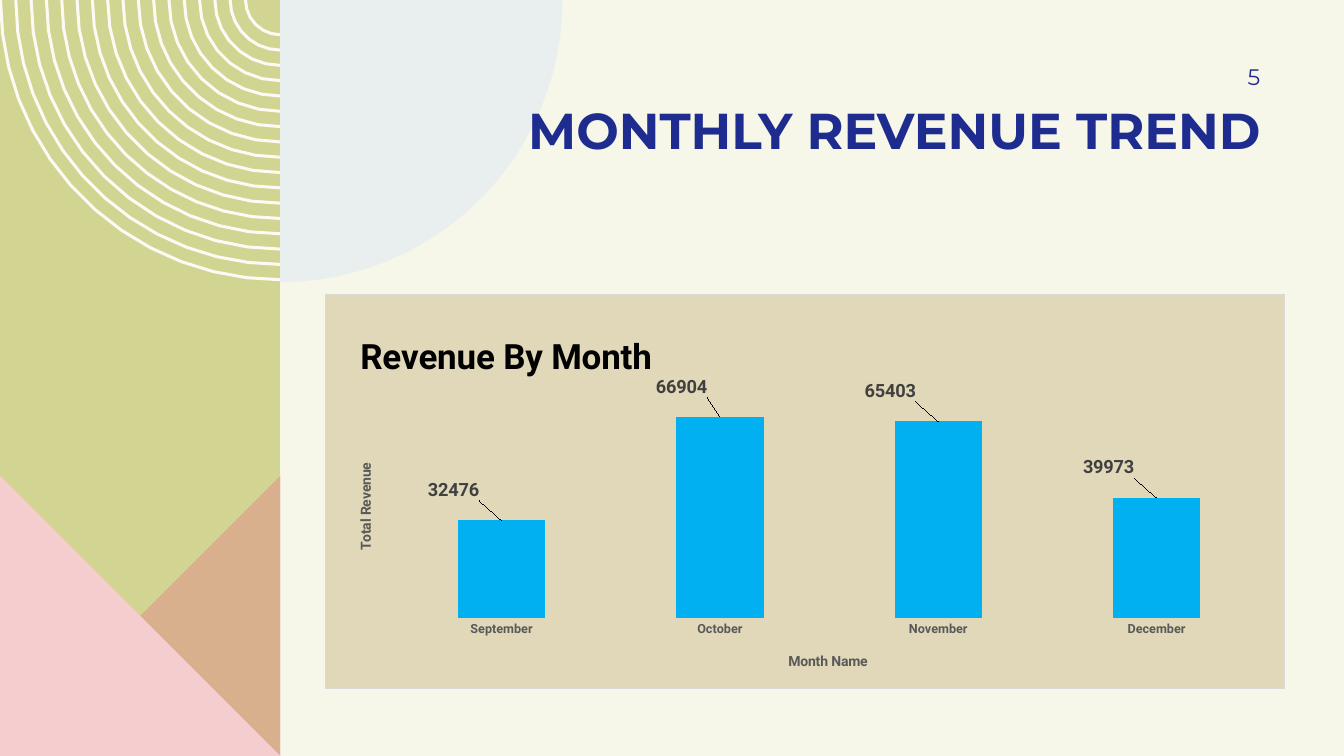
import math
from dataclasses import dataclass

import pptx
import pptx.chart.data
import pptx.dml.color
import pptx.enum.chart
import pptx.enum.text
import pptx.oxml
import pptx.oxml.ns
import pptx.util
from pptx.util import Inches

Point = tuple[float, float]
PANEL_EDGE = 2.78
NAVY = "1F2C8F"
GRAY = "595959"
GRID = "D9D9D9"


@dataclass
class Region:
    contours: list[list[Point]]
    color: str
    opacity: int = 100


@dataclass
class Label:
    text: str
    left: float
    top: float
    width: float
    height: float
    size: int
    bold: bool
    align: pptx.enum.text.PP_ALIGN
    anchor: pptx.enum.text.MSO_ANCHOR
    right_inset: float


@dataclass
class Month:
    name: str
    revenue: int
    label_shift: Point


def rgb(color: str) -> pptx.dml.color.RGBColor:
    return pptx.dml.color.RGBColor.from_string(color)


def arc(radius: float, start: int, end: int, steps: int) -> list[Point]:
    angles = [math.radians(start + (end - start) * i / steps) for i in range(steps + 1)]
    return [(PANEL_EDGE + radius * math.cos(a), radius * math.sin(a)) for a in angles]


def ring(radius: float) -> list[Point]:
    steps = 5 + round(3 * radius)
    return arc(radius, 90, 180, steps) + arc(radius - 0.03, 180, 90, steps)


def draw_region(slide, region: Region) -> None:
    contours = [[(Inches(x), Inches(y)) for x, y in c] for c in region.contours]
    builder = slide.shapes.build_freeform(*contours[0][0])
    builder.add_line_segments(contours[0][1:])
    for contour in contours[1:]:
        builder.move_to(*contour[0])
        builder.add_line_segments(contour[1:])
    shape = builder.convert_to_shape()
    shape.shadow.inherit = False
    shape.line.fill.background()
    shape.fill.solid()
    shape.fill.fore_color.rgb = rgb(region.color)
    if region.opacity < 100:
        color = shape._element.spPr.find(".//" + pptx.oxml.ns.qn("a:srgbClr"))
        alpha = color.makeelement(pptx.oxml.ns.qn("a:alpha"), {"val": str(region.opacity * 1000)})
        color.append(alpha)


def set_font(font, size: int, color: str, bold: bool, name: str = "Roboto") -> None:
    font.name = name
    font.size = pptx.util.Pt(size)
    font.bold = bold
    font.color.rgb = rgb(color)


def draw_label(slide, label: Label) -> None:
    box = slide.shapes.add_textbox(
        Inches(label.left), Inches(label.top), Inches(label.width), Inches(label.height))
    frame = box.text_frame
    frame.word_wrap = True
    frame.vertical_anchor = label.anchor
    frame.margin_top = frame.margin_bottom = 0
    frame.margin_right = Inches(label.right_inset)
    paragraph = frame.paragraphs[0]
    paragraph.text = label.text
    paragraph.alignment = label.align
    set_font(paragraph.font, label.size, NAVY, label.bold, "Montserrat")


def layout(x: float, y: float, size: Point | None = None, edge: bool = True):
    parts = [("xMode", "edge"), ("yMode", "edge")] if edge else []
    if size:
        parts.insert(0, ("layoutTarget", "inner"))
    parts += [("x", x), ("y", y)]
    if size:
        parts += [("w", size[0]), ("h", size[1])]
    body = "".join(f'<c:{tag} val="{value}"/>' for tag, value in parts)
    return pptx.oxml.parse_xml(
        f'<c:layout {pptx.oxml.ns.nsdecls("c")}><c:manualLayout>{body}</c:manualLayout></c:layout>')


def place_title(title, text: str, size: int, color: str, x: float, y: float) -> None:
    paragraph = title.text_frame.paragraphs[0]
    paragraph.text = text
    set_font(paragraph.font, size, color, True)
    element = title._element
    for old in element.findall(pptx.oxml.ns.qn("c:layout")):
        element.remove(old)
    element.find(pptx.oxml.ns.qn("c:tx")).addnext(layout(x, y))


def draw_revenue_chart(slide, months: list[Month]) -> None:
    data = pptx.chart.data.CategoryChartData()
    data.categories = [month.name for month in months]
    data.add_series("Series 1", [month.revenue for month in months])
    chart = slide.shapes.add_chart(
        pptx.enum.chart.XL_CHART_TYPE.COLUMN_CLUSTERED,
        Inches(3.22), Inches(2.92), Inches(9.53), Inches(3.92), data).chart
    set_font(chart.font, 10, "000000", False)
    chart.has_legend = False
    chart.has_title = True
    place_title(chart.chart_title, "Revenue By Month", 25, "000000", 0.03, 0.08)

    month_axis = chart.category_axis
    month_axis.major_tick_mark = pptx.enum.chart.XL_TICK_MARK.NONE
    month_axis.format.line.fill.background()
    set_font(month_axis.tick_labels.font, 9, GRAY, True)
    place_title(month_axis.axis_title, "Month Name", 10, GRAY, 0.48, 0.9)

    revenue_axis = chart.value_axis
    revenue_axis.visible = False
    revenue_axis.minimum_scale = 0
    revenue_axis.maximum_scale = 80000
    grid_line = revenue_axis.major_gridlines.format.line
    grid_line.color.rgb = rgb(GRID)
    grid_line.width = pptx.util.Pt(0.75)
    place_title(revenue_axis.axis_title, "Total Revenue", 10, GRAY, 0.03, 0.42)

    plot = chart.plots[0]
    plot.gap_width = 150
    plot.vary_by_categories = False
    revenue = plot.series[0]
    revenue.format.fill.solid()
    revenue.format.fill.fore_color.rgb = rgb("00B0F0")
    for i, month in enumerate(months):
        label = revenue.points[i].data_label
        set_font(label.font, 13, "404040", True)
        label.position = pptx.enum.chart.XL_LABEL_POSITION.OUTSIDE_END
        element = revenue._element.findall(".//" + pptx.oxml.ns.qn("c:dLbl"))[i]
        element.find(pptx.oxml.ns.qn("c:idx")).addnext(layout(*month.label_shift, edge=False))

    plot_area = chart._chartSpace.chart.plotArea
    for old in plot_area.findall(pptx.oxml.ns.qn("c:layout")):
        plot_area.remove(old)
    plot_area.insert(0, layout(0.07, 0.21, (0.91, 0.61)))
    chart._chartSpace.chart.addnext(pptx.oxml.parse_xml(
        f'<c:spPr {pptx.oxml.ns.nsdecls("c", "a")}>'
        '<a:solidFill><a:srgbClr val="E0D8B8"/></a:solidFill>'
        f'<a:ln w="9525"><a:solidFill><a:srgbClr val="{GRID}"/></a:solidFill></a:ln></c:spPr>'))


RING_COUNT = 17
RING_RADII = [0.36 + (2.79 - 0.36) * i / (RING_COUNT - 1) for i in range(RING_COUNT)]
REGIONS = [
    Region([[(0, 0), (PANEL_EDGE, 0), (PANEL_EDGE, 7.5), (0, 7.5)]], "D2D592"),
    Region([ring(radius) for radius in RING_RADII], "FDFAF6"),
    Region([[(PANEL_EDGE, 4.72), (PANEL_EDGE, 7.5), (0, 7.5)]], "DE8C8C", 50),
    Region([[(0, 4.72), (PANEL_EDGE, 7.5), (0, 7.5)]], "F5CDCE"),
    Region([[(PANEL_EDGE, 0)] + arc(2.8, 0, 90, 24)], "DDE7F6", 50),
]
LABELS = [
    Label("MONTHLY REVENUE TREND", 5.14, 0.49, 8.71, 1.09, 36, True,
          pptx.enum.text.PP_ALIGN.LEFT, pptx.enum.text.MSO_ANCHOR.BOTTOM, 0.1),
    Label("5", 11.33, 0.5, 1.17, 0.52, 16, False,
          pptx.enum.text.PP_ALIGN.RIGHT, pptx.enum.text.MSO_ANCHOR.MIDDLE, 0),
]
MONTHS = [
    Month("September", 32476, (-0.05, -0.04)),
    Month("October", 66904, (-0.04, -0.04)),
    Month("November", 65403, (-0.05, -0.04)),
    Month("December", 39973, (-0.05, -0.04)),
]


def main() -> None:
    deck = pptx.Presentation()
    deck.slide_width, deck.slide_height = Inches(13.33), Inches(7.5)
    slide = deck.slides.add_slide(deck.slide_layouts[6])
    slide.background.fill.solid()
    slide.background.fill.fore_color.rgb = rgb("F6F7E9")
    for region in REGIONS:
        draw_region(slide, region)
    for label in LABELS:
        draw_label(slide, label)
    draw_revenue_chart(slide, MONTHS)
    deck.save("out.pptx")


if __name__ == "__main__":
    main()
